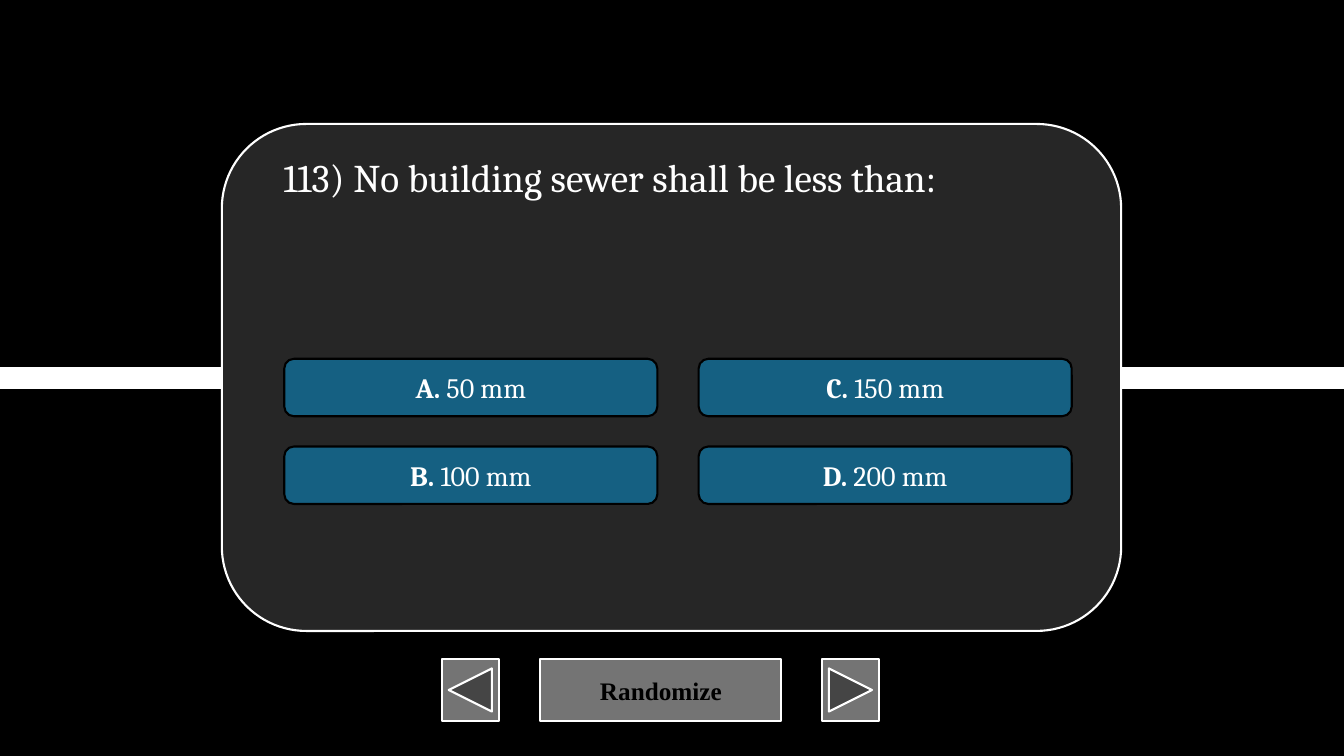
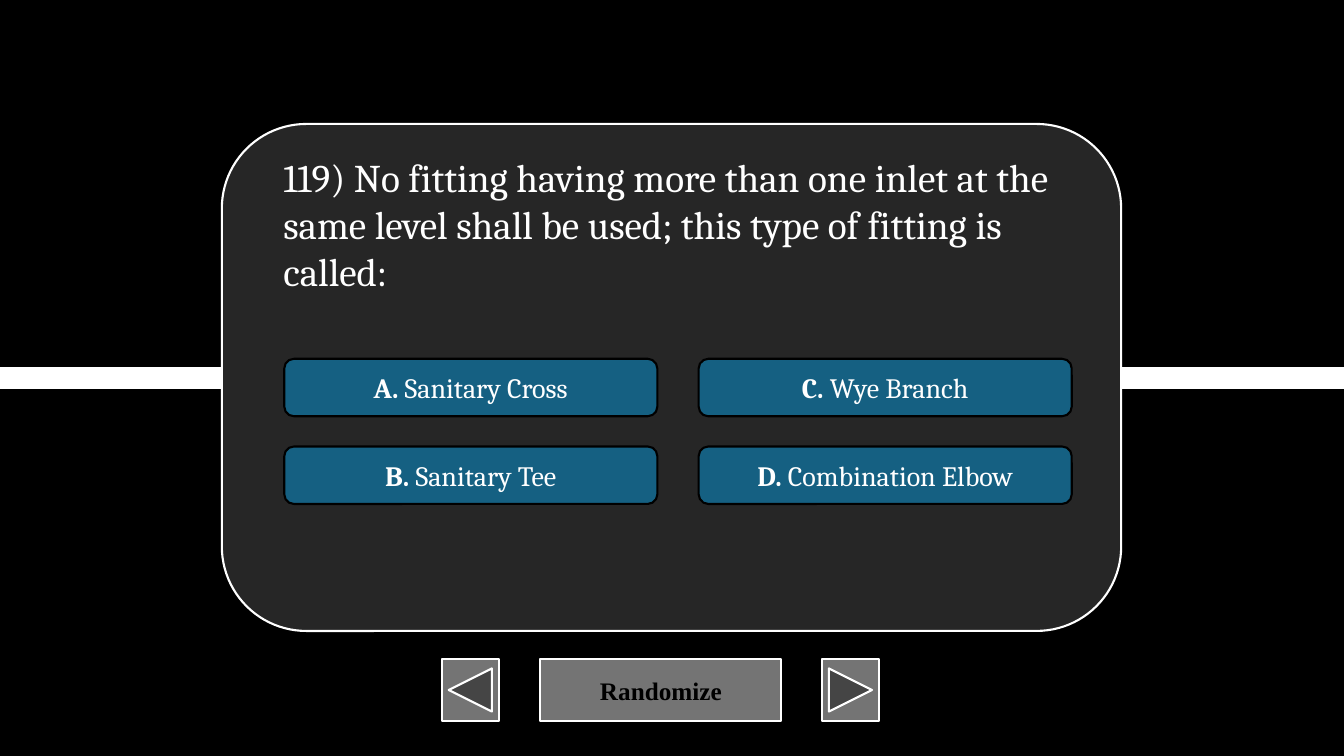
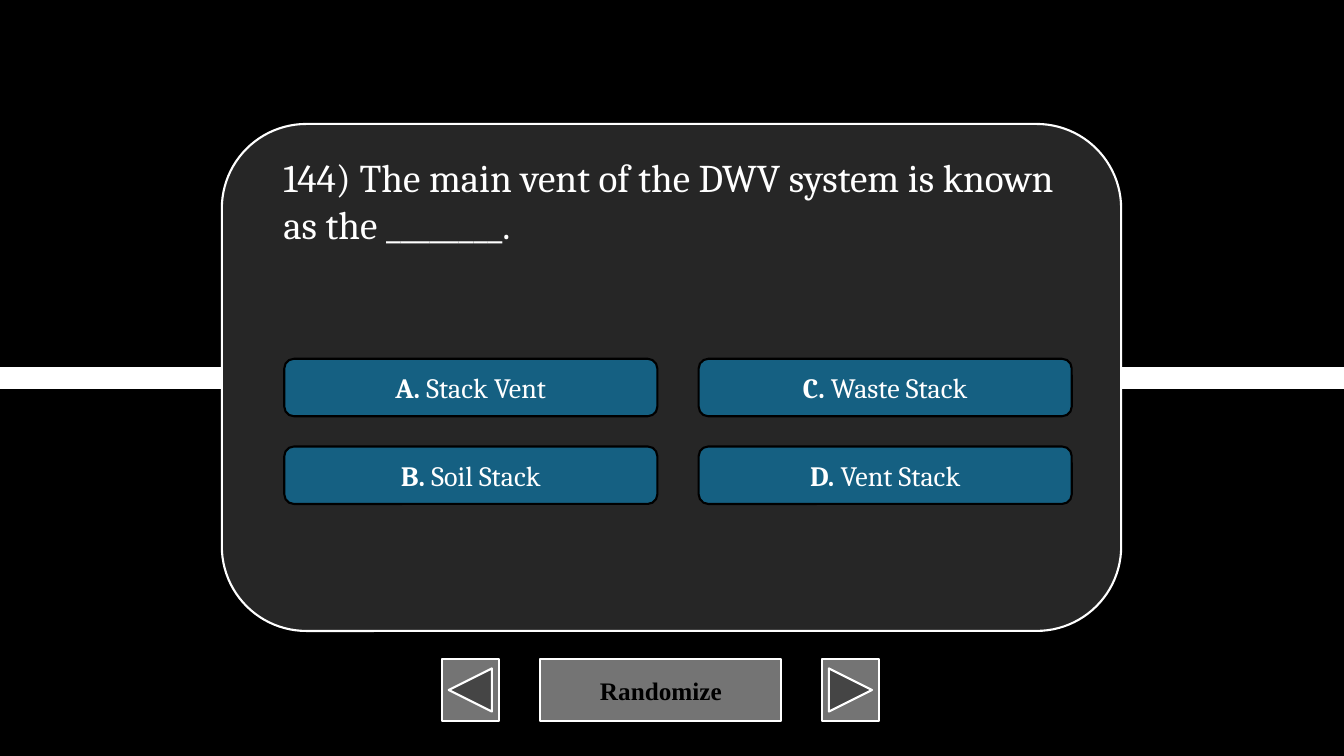
from dataclasses import dataclass
from typing import NamedTuple

from pptx import Presentation
from pptx import util as u
from pptx.dml.color import RGBColor
from pptx.enum import shapes, text
from pptx.oxml.ns import qn
from lxml import etree

BLACK = RGBColor(0x00, 0x00, 0x00)
WHITE = RGBColor(0xFF, 0xFF, 0xFF)
CARD_GREY = RGBColor(0x26, 0x26, 0x26)
BUTTON_GREY = RGBColor(0x74, 0x74, 0x74)
ANSWER_BLUE = RGBColor(0x15, 0x60, 0x82)

SLIDE_WIDTH, SLIDE_HEIGHT = 13.33, 7.5
BAND_POINTS = 16
OUTLINE_POINTS = 1.5

QUESTION_FONT = dict(name="Cambria", size=u.Pt(28), bold=False)
ANSWER_FONT = dict(name="Cambria", size=u.Pt(20), bold=False)
LETTER_FONT = ANSWER_FONT | dict(bold=True)
BUTTON_FONT = dict(name="Times New Roman", size=u.Pt(18), bold=True)


class Box(NamedTuple):
    left: float
    top: float
    width: float
    height: float

    def lengths(self) -> list[u.Inches]:
        return [u.Inches(value) for value in self]


@dataclass(frozen=True)
class Style:
    kind: shapes.MSO_SHAPE
    fill: RGBColor
    line: RGBColor


@dataclass(frozen=True)
class Question:
    wording: str
    lines: int
    answers: tuple[str, str, str, str]


CARD = Style(shapes.MSO_SHAPE.ROUNDED_RECTANGLE, CARD_GREY, WHITE)
ANSWER = Style(shapes.MSO_SHAPE.ROUNDED_RECTANGLE, ANSWER_BLUE, BLACK)
RANDOMIZE = Style(shapes.MSO_SHAPE.ACTION_BUTTON_CUSTOM, BUTTON_GREY, WHITE)
PREVIOUS = Style(shapes.MSO_SHAPE.ACTION_BUTTON_BACK_OR_PREVIOUS, BUTTON_GREY, WHITE)
NEXT = Style(shapes.MSO_SHAPE.ACTION_BUTTON_FORWARD_OR_NEXT, BUTTON_GREY, WHITE)

CARD_BOX = Box(2.2, 1.23, 8.92, 5.03)
QUESTION_LEFT, QUESTION_TOP, QUESTION_WIDTH = 2.71, 1.47, 7.92
QUESTION_LINE, QUESTION_MARGINS = 0.47, 0.1

FIRST_ANSWER = Box(2.82, 3.56, 3.7, 0.57)
COLUMN_STEP, ROW_STEP = 4.11, 0.87
ANSWER_ROWS = 2

NAVIGATION_TOP, NAVIGATION_HEIGHT = 6.54, 0.61
NAVIGATION = (
    (PREVIOUS, 4.38, 0.57, ""),
    (RANDOMIZE, 5.36, 2.39, "Randomize"),
    (NEXT, 8.15, 0.57, ""),
)

QUESTIONS = (
    Question("113) No building sewer shall be less than:", 1,
             ("50 mm", "100 mm", "150 mm", "200 mm")),
    Question("119) No fitting having more than one inlet at the same level shall be used; "
             "this type of fitting is called:", 3,
             ("Sanitary Cross", "Sanitary Tee", "Wye Branch", "Combination Elbow")),
    Question("144) The main vent of the DWV system is known as the ________.", 2,
             ("Stack Vent", "Soil Stack", "Waste Stack", "Vent Stack")),
)


def add_run(paragraph, wording: str, font_format: dict, color: RGBColor) -> None:
    run = paragraph.add_run()
    run.text = wording
    for name, value in font_format.items():
        setattr(run.font, name, value)
    run.font.color.rgb = color


def add_styled_shape(slide, style: Style, box: Box):
    shape = slide.shapes.add_shape(style.kind, *box.lengths())
    shape.shadow.inherit = False
    shape.fill.solid()
    shape.fill.fore_color.rgb = style.fill
    shape.line.color.rgb = style.line
    shape.line.width = u.Pt(OUTLINE_POINTS)
    shape.text_frame.vertical_anchor = text.MSO_ANCHOR.MIDDLE
    shape.text_frame.paragraphs[0].alignment = text.PP_ALIGN.CENTER
    return shape


def add_band(slide) -> None:
    """Draw the white band that runs across the slide behind the card."""
    middle = u.Inches(SLIDE_HEIGHT / 2)
    band = slide.shapes.add_connector(
        shapes.MSO_CONNECTOR.STRAIGHT, 0, middle, u.Inches(SLIDE_WIDTH), middle)
    band.line.color.rgb = WHITE
    band.line.width = u.Pt(BAND_POINTS)
    etree.SubElement(band.element.spPr, qn("a:effectLst"))


def add_navigation(slide) -> None:
    for style, left, width, label in NAVIGATION:
        box = Box(left, NAVIGATION_TOP, width, NAVIGATION_HEIGHT)
        button = add_styled_shape(slide, style, box)
        if label:
            add_run(button.text_frame.paragraphs[0], label, BUTTON_FONT, BLACK)


def add_answers(slide, answers: tuple[str, ...]) -> None:
    """Place the answers down the first column, then down the second."""
    for index, (letter, answer) in enumerate(zip("ABCD", answers)):
        column, row = divmod(index, ANSWER_ROWS)
        box = FIRST_ANSWER._replace(left=FIRST_ANSWER.left + column * COLUMN_STEP,
                                    top=FIRST_ANSWER.top + row * ROW_STEP)
        paragraph = add_styled_shape(slide, ANSWER, box).text_frame.paragraphs[0]
        add_run(paragraph, f"{letter}. ", LETTER_FONT, WHITE)
        add_run(paragraph, answer, ANSWER_FONT, WHITE)


def place_title(slide, question: Question) -> None:
    """Put the question in the title placeholder, in front of the card."""
    title = slide.shapes.title
    height = QUESTION_MARGINS + question.lines * QUESTION_LINE
    box = Box(QUESTION_LEFT, QUESTION_TOP, QUESTION_WIDTH, height)
    title.left, title.top, title.width, title.height = box.lengths()
    frame_format = dict(word_wrap=True, vertical_anchor=text.MSO_ANCHOR.TOP,
                        auto_size=text.MSO_AUTO_SIZE.SHAPE_TO_FIT_TEXT)
    for name, value in frame_format.items():
        setattr(title.text_frame, name, value)
    paragraph = title.text_frame.paragraphs[0]
    paragraph.alignment = text.PP_ALIGN.LEFT
    add_run(paragraph, question.wording, QUESTION_FONT, WHITE)
    slide.shapes.element.append(title.element)


def add_question_slide(presentation, layout, question: Question) -> None:
    slide = presentation.slides.add_slide(layout)
    add_band(slide)
    add_navigation(slide)
    add_styled_shape(slide, CARD, CARD_BOX)
    add_answers(slide, question.answers)
    place_title(slide, question)


def main() -> None:
    presentation = Presentation()
    presentation.slide_width = u.Inches(SLIDE_WIDTH)
    presentation.slide_height = u.Inches(SLIDE_HEIGHT)
    background = presentation.slide_master.background.fill
    background.solid()
    background.fore_color.rgb = BLACK
    layout = presentation.slide_layouts.get_by_name("Title Only")
    for question in QUESTIONS:
        add_question_slide(presentation, layout, question)
    presentation.save("out.pptx")


if __name__ == "__main__":
    main()
